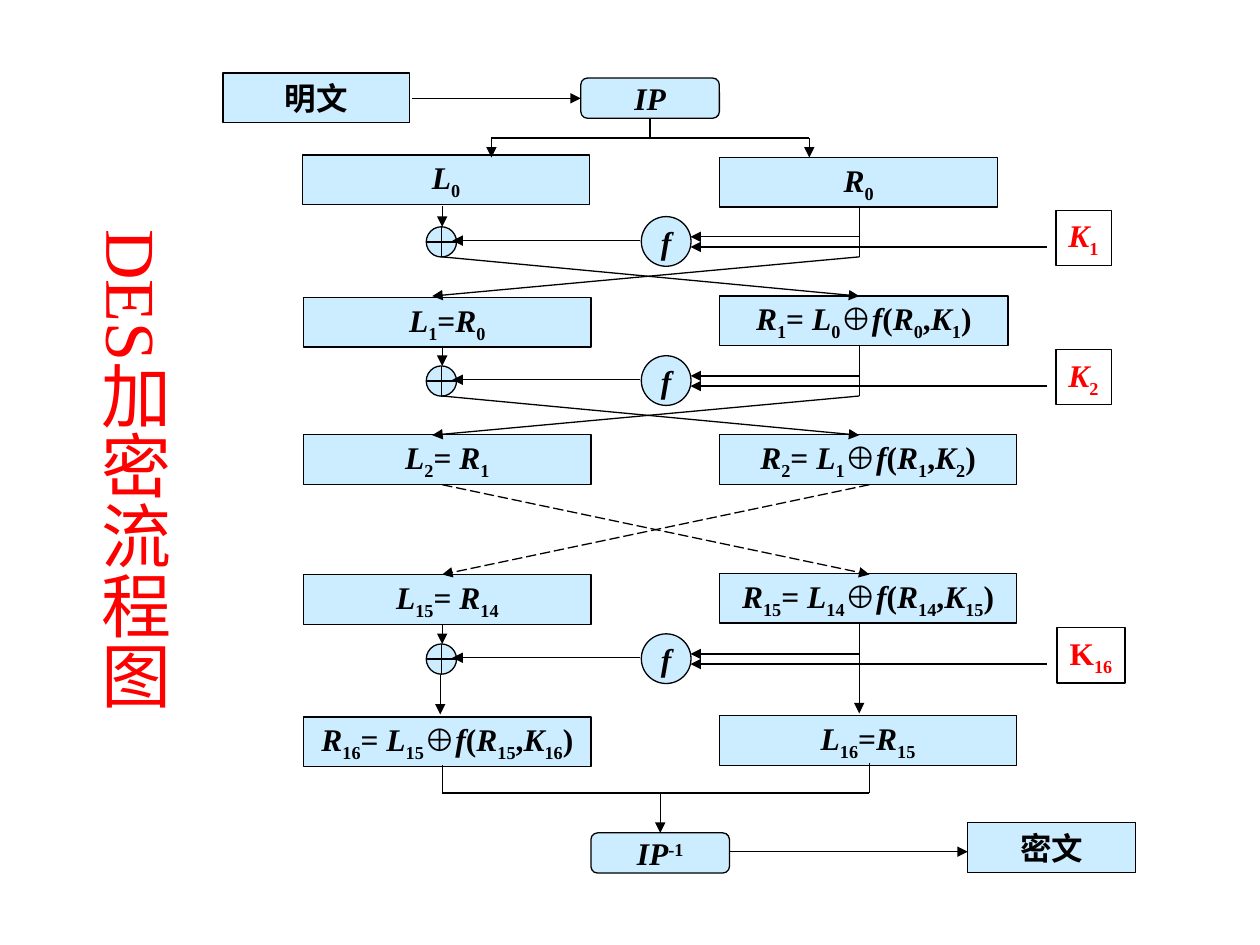
from itertools import groupby
from typing import NamedTuple, Optional

from lxml.etree import SubElement
from pptx import Presentation
from pptx.dml.color import RGBColor
from pptx.enum.dml import MSO_LINE
from pptx.enum.shapes import MSO_CONNECTOR, MSO_SHAPE
from pptx.enum.text import MSO_ANCHOR, MSO_AUTO_SIZE, PP_ALIGN
from pptx.oxml.ns import qn
from pptx.util import Pt

BLACK = RGBColor(0x00, 0x00, 0x00)
RED = RGBColor(0xFF, 0x00, 0x00)
LIGHT_BLUE = RGBColor(0xCC, 0xEC, 0xFF)
FONT = "Times New Roman"
SUB, SUPER = -25000, 30000

ROW_H = 28.4
LEFT_X, RIGHT_X = 173.5, 411.1
LEFT_W, RIGHT_W = 164.2, 169.9
LEFT_STEM, RIGHT_STEM, RIGHT_MID = 252.7, 491, 496.8


class Box(NamedTuple):
    text: str
    x: float
    y: float
    w: float
    h: float = ROW_H
    kind: MSO_SHAPE = MSO_SHAPE.RECTANGLE
    shift: int = SUB


class Line(NamedTuple):
    x1: float
    y1: float
    x2: float
    y2: float
    arrow: bool = True
    dashed: bool = False


class Round(NamedTuple):
    key: str
    y: float
    key_x: float = 603.4
    key_w: float = 31.7
    key_italic: bool = True
    last: bool = False


BOXES = [
    Box("明文", 127.4, 41.8, 106.6),
    Box("IP", 331.9, 44.6, 79.2, 23, MSO_SHAPE.ROUNDED_RECTANGLE),
    Box("L_0", 172.8, 88.6, LEFT_W),
    Box("R_0", RIGHT_X, 90, 159.1),
    Box("L_1_=R_0", LEFT_X, 169.9, LEFT_W),
    Box("R_1_= L_0_⊕f(R_0_,K_1_)", RIGHT_X, 169.2, 164.9),
    Box("L_2_= R_1", LEFT_X, 248.4, LEFT_W),
    Box("R_2_= L_1_⊕f(R_1_,K_2_)", RIGHT_X, 248.4, RIGHT_W),
    Box("L_15_= R_14", LEFT_X, 328.3, LEFT_W),
    Box("R_15_= L_14_⊕f(R_14_,K_15_)", RIGHT_X, 327.6, RIGHT_W),
    Box("R_16_= L_15_⊕f(R_15_,K_16_)", LEFT_X, 409.7, LEFT_W),
    Box("L_16_=R_15", RIGHT_X, 409, RIGHT_W),
    Box("IP_-1", 337.7, 475.9, 79.2, 23, MSO_SHAPE.ROUNDED_RECTANGLE, SUPER),
    Box("密文", 553, 470.2, 95.8),
]

LINES = [
    # Plaintext through IP to both halves
    Line(235.4, 56.2, 331.9, 56.2),
    Line(371.5, 67.7, 371.5, 78.8, arrow=False),
    Line(280.8, 78.8, 462.5, 78.8, arrow=False),
    Line(280.8, 78.8, 280.8, 90),
    Line(462.5, 78.8, 462.5, 90),
    # Small arrowhead beside the first f
    Line(366.5, 135.4, 366.5, 135.4),
    # Rounds left out
    Line(LEFT_STEM, 277, RIGHT_MID, 328.3, dashed=True),
    Line(RIGHT_MID, 277, LEFT_STEM, 328.3, dashed=True),
    # Both halves through the inverse IP to ciphertext
    Line(LEFT_STEM, 437, LEFT_STEM, 453.2, arrow=False),
    Line(RIGHT_MID, 436, RIGHT_MID, 453.2, arrow=False),
    Line(LEFT_STEM, 453.2, RIGHT_MID, 453.2, arrow=False),
    Line(377.3, 453.2, 377.3, 475.9),
    Line(416.9, 486.7, 553, 486.7),
]

ROUNDS = [
    Round("K_1", 123.8),
    Round("K_2", 203.3),
    Round("K_16", 362.2, 604.1, 38.9, key_italic=False, last=True),
]


def write(tf, text: str, *, size=18, color=BLACK, bold=True, italic=True,
          align=PP_ALIGN.CENTER, anchor=MSO_ANCHOR.MIDDLE, shift=SUB):
    """Underscores switch shifted text on and off; Latin letters go italic."""
    tf.word_wrap = False
    tf.vertical_anchor = anchor
    p = tf.paragraphs[0]
    p.alignment = align
    for i, part in enumerate(text.split("_")):
        shifted = i % 2 == 1
        for is_letter, chars in groupby(part, lambda c: c.isascii() and c.isalpha()):
            r = p.add_run()
            r.text = "".join(chars)
            r.font.name, r.font.size = FONT, Pt(size)
            r.font.bold, r.font.italic = bold, italic and is_letter
            r.font.color.rgb = color
            if shifted:
                r.font._element.set("baseline", str(shift))


def add_box(slide, box: Box, fill: Optional[RGBColor] = LIGHT_BLUE, **fmt):
    s = slide.shapes.add_shape(box.kind, Pt(box.x), Pt(box.y), Pt(box.w), Pt(box.h))
    s.shadow.inherit = False
    if fill is None:
        s.fill.background()
    else:
        s.fill.solid()
        s.fill.fore_color.rgb = fill
    s.line.color.rgb = BLACK
    s.line.width = Pt(0.75)
    if box.text:
        write(s.text_frame, box.text, shift=box.shift, **fmt)
    return s


def add_line(slide, line: Line) -> None:
    c = slide.shapes.add_connector(MSO_CONNECTOR.STRAIGHT, Pt(line.x1), Pt(line.y1),
                                   Pt(line.x2), Pt(line.y2))
    c.line.color.rgb = BLACK
    c.line.width = Pt(0.75)
    if line.dashed:
        c.line.dash_style = MSO_LINE.LONG_DASH
    if line.arrow:
        SubElement(c.line._get_or_add_ln(), qn("a:tailEnd"), type="triangle")
    SubElement(c.element.spPr, qn("a:effectLst"))


def add_round(slide, rnd: Round) -> None:
    y = rnd.y
    top, bottom, next_row = y - 5.8, y + 23, y + 45.4
    add_box(slide, Box("f", 366.5, y, ROW_H, kind=MSO_SHAPE.OVAL))
    add_box(slide, Box("", 243.6, y + 5.8, 17.3, 17.3, MSO_SHAPE.FLOWCHART_OR))
    key = add_box(slide, Box(rnd.key, rnd.key_x, y - 3.6, rnd.key_w, 31.7), fill=None,
                  color=RED, italic=rnd.key_italic, align=PP_ALIGN.LEFT,
                  anchor=MSO_ANCHOR.TOP)
    key.text_frame.auto_size = MSO_AUTO_SIZE.SHAPE_TO_FIT_TEXT
    lines = [
        Line(LEFT_STEM, top, LEFT_STEM, y + 5.8),
        Line(RIGHT_STEM, y + 11.5, 394.6, y + 11.5),
        Line(365.8, y + 13.7, 258.5, y + 13.7),
        Line(598.3, y + 17.3, 394.6, y + 17.3),
    ]
    if rnd.last:
        lines += [Line(RIGHT_STEM, top, RIGHT_STEM, next_row),
                  Line(251.6, y + 23.8, 251.6, y + 46.1)]
    else:
        lines += [Line(RIGHT_STEM, top, RIGHT_STEM, bottom, arrow=False),
                  Line(RIGHT_STEM, bottom, 247, next_row),
                  Line(LEFT_STEM, bottom, RIGHT_STEM, next_row)]
    for line in lines:
        add_line(slide, line)


def add_title(slide, text: str) -> None:
    s = slide.shapes.title
    s.left, s.top, s.width, s.height = Pt(42.5), Pt(127.4), Pt(61.9), Pt(304)
    tf = s.text_frame
    tf.margin_left = tf.margin_right = tf.margin_top = Pt(3.6)
    tf.margin_bottom = 0
    tf.auto_size = MSO_AUTO_SIZE.NONE
    s.element.txBody.bodyPr.set("vert", "eaVert")
    write(tf, text, size=40, color=RED, bold=False, italic=False,
          align=PP_ALIGN.LEFT, anchor=MSO_ANCHOR.TOP)


def main() -> None:
    prs = Presentation()
    prs.slide_width, prs.slide_height = Pt(720), Pt(540)
    slide = prs.slides.add_slide(prs.slide_layouts[5])
    add_title(slide, "DES加密流程图")
    for box in BOXES:
        add_box(slide, box)
    for line in LINES:
        add_line(slide, line)
    for rnd in ROUNDS:
        add_round(slide, rnd)
    prs.save("out.pptx")


if __name__ == "__main__":
    main()
